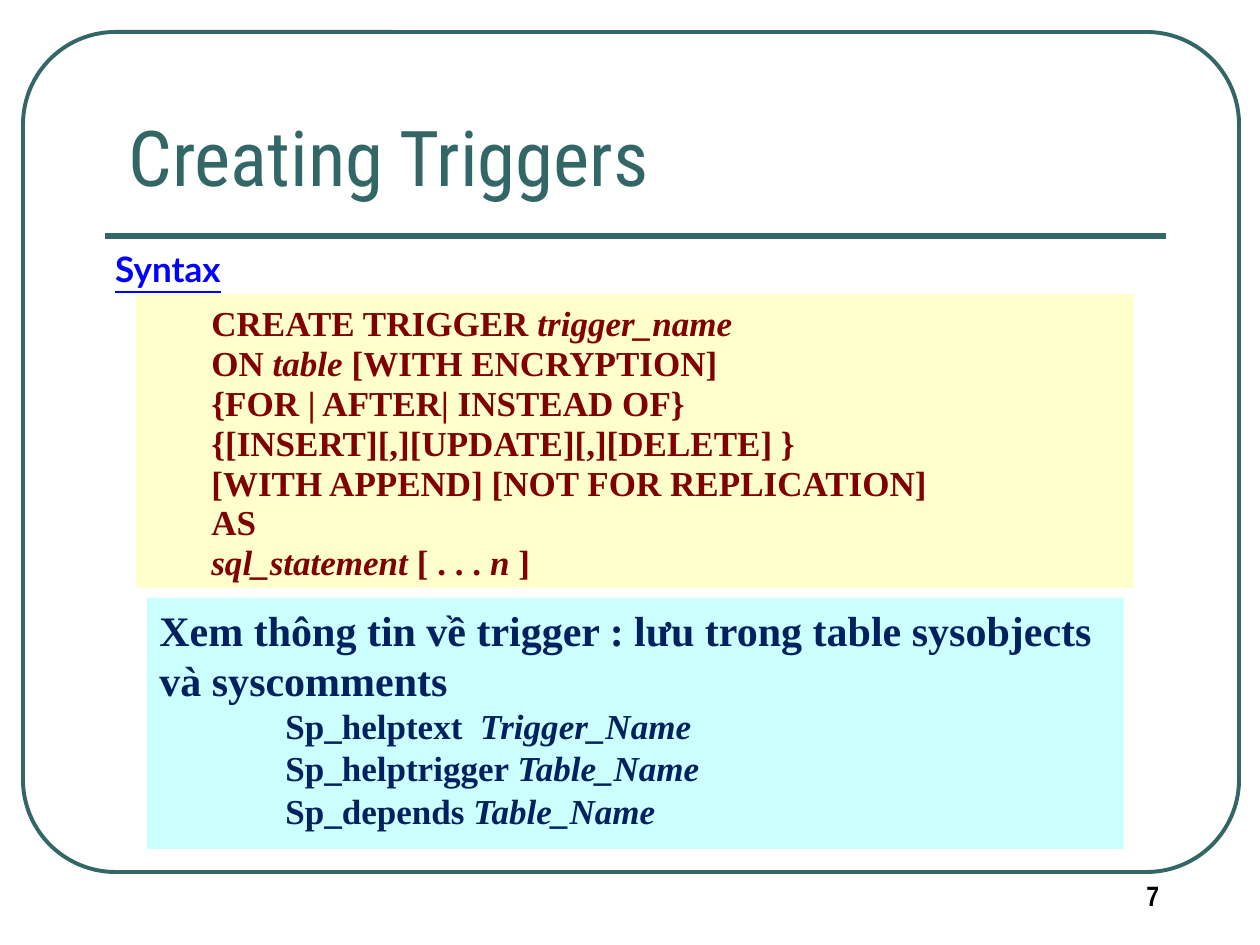
from dataclasses import dataclass

from pptx import Presentation
from pptx.dml.color import RGBColor
from pptx.enum.shapes import MSO_CONNECTOR, MSO_SHAPE
from pptx.enum.text import MSO_ANCHOR, MSO_AUTO_SIZE, PP_ALIGN
from pptx.oxml.ns import qn
from pptx.util import Pt
from lxml import etree

LEFT, CENTER = PP_ALIGN.LEFT, PP_ALIGN.CENTER
TOP, BOTTOM = MSO_ANCHOR.TOP, MSO_ANCHOR.BOTTOM
RECT, ROUND_RECT = MSO_SHAPE.RECTANGLE, MSO_SHAPE.ROUNDED_RECTANGLE
STRAIGHT = MSO_CONNECTOR.STRAIGHT
NO_AUTOFIT = MSO_AUTO_SIZE.NONE


@dataclass(frozen=True)
class Theme:
    teal: str = "336666"
    blue: str = "0000FF"
    maroon: str = "800000"
    navy: str = "002060"
    black: str = "000000"
    yellow: str = "FFFFCC"
    cyan: str = "CCFFFF"
    title_font: str = "Roboto Condensed"
    label_font: str = "Lato"
    code_font: str = "Times New Roman"
    number_font: str = "Arial Narrow"
    title_size: int = 44
    lead_size: int = 24
    code_size: int = 20
    number_size: int = 16


def px(length):
    return round(length * 914400 / 126)


def write(paragraph, text, *, font, size, color, bold=False, underline=False,
          align=LEFT, indent=0, line_spacing=None, before=0):
    """Fill a paragraph; words between asterisks become italic."""
    paragraph.alignment = align
    paragraph.line_spacing = line_spacing
    paragraph.space_before = Pt(before)
    if indent:
        properties = paragraph._p.get_or_add_pPr()
        properties.set("marL", str(px(indent)))
        properties.set("indent", "0")
    for index, part in enumerate(text.split("*")):
        if not part:
            continue
        run = paragraph.add_run()
        run.text = part
        run.font.name = font
        run.font.size = Pt(size)
        run.font.bold = bold
        run.font.italic = index % 2 == 1
        run.font.underline = underline
        run.font.color.rgb = RGBColor.from_string(color)


class SlideBuilder:
    def __init__(self, slide, theme):
        self.slide = slide
        self.theme = theme

    def shape(self, kind, box, fill=None, line=None, width=0):
        shape = self.slide.shapes.add_shape(kind, *map(px, box))
        shape.shadow.inherit = False
        if fill:
            shape.fill.solid()
            shape.fill.fore_color.rgb = RGBColor.from_string(fill)
        else:
            shape.fill.background()
        if line:
            shape.line.color.rgb = RGBColor.from_string(line)
            shape.line.width = Pt(width)
        else:
            shape.line.fill.background()
        return shape

    def rule(self, start, end, width):
        rule = self.slide.shapes.add_connector(STRAIGHT, *map(px, start + end))
        rule.line.color.rgb = RGBColor.from_string(self.theme.teal)
        rule.line.width = Pt(width)
        etree.SubElement(rule._element.spPr, qn("a:effectLst"))

    def fill_text(self, shape, lines, anchor=TOP, wrap=True):
        """Each line is a pair of text and format."""
        frame = shape.text_frame
        frame.word_wrap = wrap
        frame.auto_size = NO_AUTOFIT
        frame.vertical_anchor = anchor
        for index, (text, style) in enumerate(lines):
            paragraph = frame.add_paragraph() if index else frame.paragraphs[0]
            write(paragraph, text, **style)

    def title(self, text, box):
        title = self.slide.shapes.title
        title.left, title.top, title.width, title.height = map(px, box)
        style = dict(font=self.theme.title_font, size=self.theme.title_size,
                     color=self.theme.teal)
        self.fill_text(title, [(text, style)], anchor=BOTTOM)

    def label(self, text, box, anchor=TOP, wrap=True, **style):
        label = self.slide.shapes.add_textbox(*map(px, box))
        self.fill_text(label, [(text, style)], anchor, wrap)

    def panel(self, box, fill, lines, anchor=TOP):
        self.fill_text(self.shape(RECT, box, fill=fill), lines, anchor)


def main():
    presentation = Presentation()
    presentation.slide_width, presentation.slide_height = px(1260), px(945)
    theme = Theme()
    slide = presentation.slides.add_slide(presentation.slide_layouts[5])
    builder = SlideBuilder(slide, theme)

    # Frame, title and rule
    frame = builder.shape(ROUND_RECT, (23, 32, 1216, 840), line=theme.teal, width=2.25)
    frame.adjustments[0] = 0.11
    builder.rule((105, 236), (1166, 236), 3)
    builder.title("Creating Triggers", (116, 94, 1074, 114))

    # Syntax of the statement
    builder.label("Syntax", (94, 242, 148, 54), anchor=BOTTOM, wrap=False,
                  font=theme.label_font, size=theme.code_size, color=theme.blue,
                  bold=True, underline=True, align=CENTER)
    code = dict(font=theme.code_font, size=theme.code_size, color=theme.maroon,
                bold=True, indent=63, line_spacing=0.7, before=6)
    syntax = [
        "CREATE TRIGGER *trigger_name*",
        "ON *table *[WITH ENCRYPTION]",
        "{FOR | AFTER| INSTEAD OF}",
        "{[INSERT][,][UPDATE][,][DELETE] }",
        "[WITH APPEND] [NOT FOR REPLICATION]",
        "AS",
        "*sql_statement *[ . . . *n *]",
    ]
    builder.panel((136, 294, 998, 294), theme.yellow,
                  [(line, code) for line in syntax], anchor=BOTTOM)

    # Where trigger information is kept
    lead = dict(font=theme.code_font, size=theme.lead_size, color=theme.navy, bold=True)
    command = dict(lead, size=theme.code_size, indent=126)
    commands = [
        "Sp_helptext  *Trigger_Name*",
        "Sp_helptrigger *Table_Name*",
        "Sp_depends *Table_Name*",
    ]
    note = "Xem thông tin về trigger : lưu trong table sysobjects và syscomments"
    builder.panel((147, 598, 977, 251), theme.cyan,
                  [(note, lead)] + [(line, command) for line in commands])

    # Slide number
    builder.label("7", (1134, 872, 84, 47), font=theme.number_font,
                  size=theme.number_size, color=theme.black, bold=True)

    presentation.save("out.pptx")


if __name__ == "__main__":
    main()
